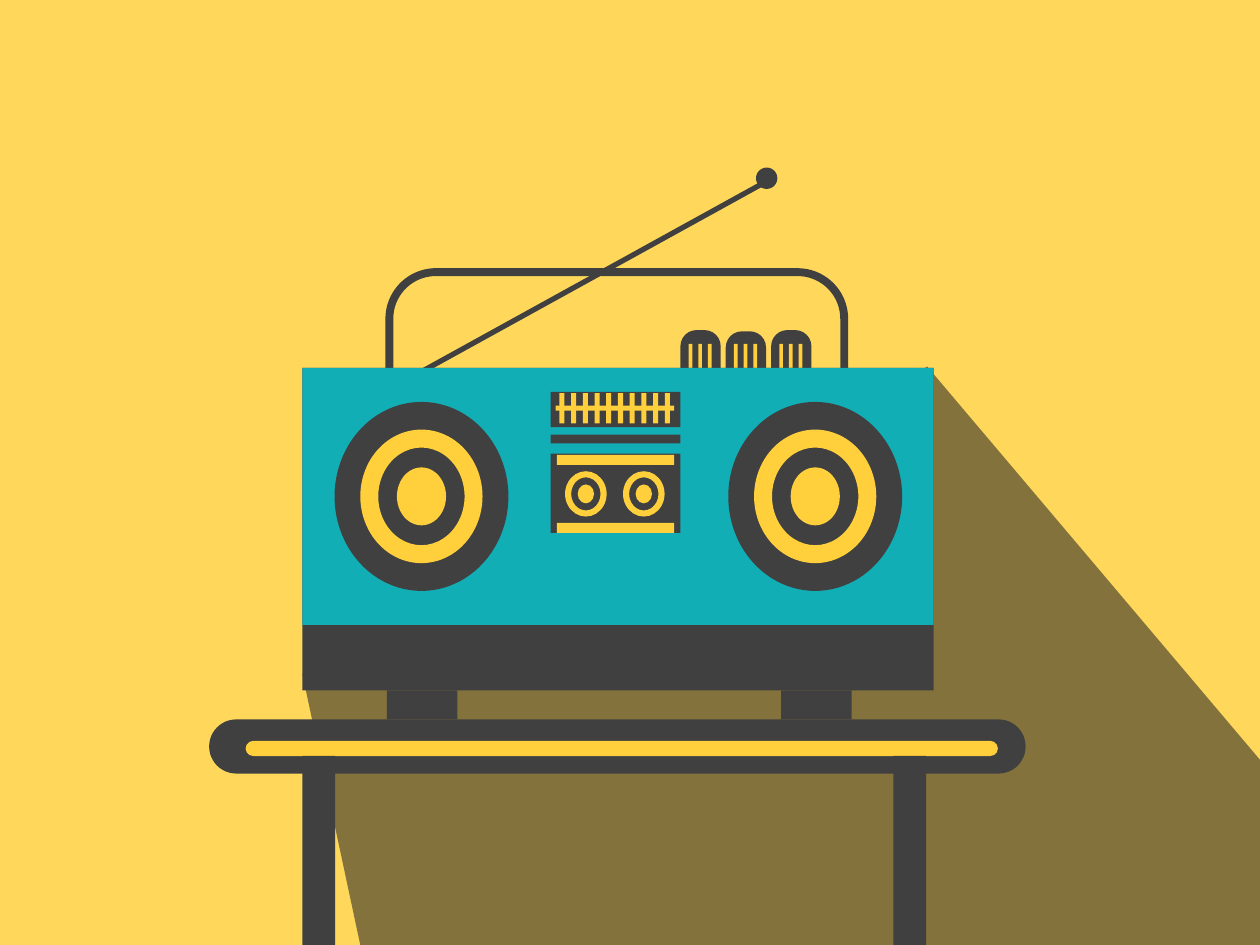
from pptx import Presentation
from pptx.dml.color import RGBColor
from pptx.enum.shapes import MSO_CONNECTOR as Link, MSO_SHAPE as Kind
from pptx.oxml.ns import qn
from pptx.util import Inches, Pt
from lxml.etree import SubElement as Sub

COLS, ROWS = 100, 75
DARK, GOLD, TEAL = "404040", "FFD03B", "12AEB6"
SAND, SHADE = "FFD85B", "262626"


def tint(code):
    return RGBColor.from_string(code)


class Scene:
    """Draws flat shapes on one slide, measured in grid columns and rows."""

    def __init__(self, deck, back):
        self.slide = deck.slides.add_slide(deck.slide_layouts[6])
        self.col = deck.slide_width / COLS
        self.row = deck.slide_height / ROWS
        self.root = self.pen = self.slide.shapes
        fill = self.slide.background.fill
        fill.solid()
        fill.fore_color.rgb = tint(back)

    def spot(self, x, y):
        return round(x * self.col), round(y * self.row)

    def group(self):
        self.pen = self.root.add_group_shape().shapes

    def leave(self):
        self.pen = self.root

    def paint(self, shape, color):
        shape.shadow.inherit = False
        shape.fill.solid()
        shape.fill.fore_color.rgb = tint(color)
        shape.line.fill.background()

    def shape(self, kind, x, y, w, h, color, *turns):
        item = self.pen.add_shape(kind, *self.spot(x, y), *self.spot(w, h))
        for i, turn in enumerate(turns):
            item.adjustments[i] = turn
        self.paint(item, color)
        return item

    def box(self, x, y, w, h, color=DARK):
        return self.shape(Kind.RECTANGLE, x, y, w, h, color)

    def disc(self, x, y, w, h, color, kind=Kind.OVAL, *turns):
        """Place a round shape by its centre."""
        return self.shape(kind, x - w / 2, y - h / 2, w, h, color, *turns)

    def rings(self, x, y, rim, band, core):
        self.disc(x, y, *rim, DARK)
        self.disc(x, y, *band, GOLD, Kind.DONUT, 0.147)
        self.disc(x, y, *core, GOLD)

    def frame(self, x, y, w, h, turn, width):
        item = self.shape(Kind.ROUNDED_RECTANGLE, x, y, w, h, DARK, turn)
        item.fill.background()
        item.line.color.rgb = tint(DARK)
        item.line.width = Pt(width)

    def rod(self, start, end, width):
        item = self.pen.add_connector(
            Link.STRAIGHT, *self.spot(*start), *self.spot(*end))
        item.line.color.rgb = tint(DARK)
        item.line.width = Pt(width)
        Sub(item._element.spPr, qn("a:effectLst"))

    def shade(self, points, color, share):
        first, *rest = [self.spot(*p) for p in points]
        path = self.pen.build_freeform(*first)
        path.add_line_segments(rest, close=True)
        item = path.convert_to_shape()
        self.paint(item, color)
        tone = item._element.spPr.find(qn("a:solidFill"))[0]
        Sub(tone, qn("a:alpha"), val=str(share * 1000))


def keys(art):
    for x, y in ((54, 26.2), (57.6, 26.3), (61.2, 26.2)):
        art.group()
        art.shape(Kind.ROUND_2_SAME_RECTANGLE, x, y, 3.2, 3.6, DARK, 0.4, 0)
        for i in range(3):
            art.box(x + 0.65 + 0.77 * i, 27.3, 0.3, 2, GOLD)
    art.leave()


def deck_bay(art):
    art.group()
    # Panels
    for y, h in ((31.1, 2.8), (36, 6.3), (34.5, 0.7)):
        art.box(43.7, y, 10.3, h)
    # Tape reels
    for x in (46.5, 51.1):
        art.rings(x, 39.2, (4.6, 5), (3.3, 3.6), (1.3, 1.5))
    for y in (41.5, 36.1):
        art.box(44.2, y, 9.3, 0.8, GOLD)
    # Tuning scale
    art.box(44.1, 32.2, 9.4, 0.4, GOLD)
    for i in range(10):
        art.box(44.4 + 0.93 * i, 31.2, 0.4, 2.4, GOLD)
    art.leave()


def main():
    deck = Presentation()
    deck.slide_width, deck.slide_height = Inches(10), Inches(7.5)
    art = Scene(deck, SAND)

    # Long shadow
    art.shade([(73.6, 29.1), (100, 60.3), (100, 75), (28.6, 75), (24, 53.5)],
              SHADE, 57)

    # Keys, aerial and handle
    keys(art)
    art.rod((32, 30.3), (61.2, 14.2), 3)
    art.frame(30.9, 21.6, 36.1, 16.5, 0.224, 4.5)

    # Body
    art.box(24, 29.2, 50.1, 25.6)
    art.box(24, 29.2, 50.1, 20.4, TEAL)

    # Speakers
    for x in (33.45, 64.7):
        art.group()
        art.rings(x, 39.4, (13.8, 15), (9.7, 10.6), (3.9, 4.6))
    art.leave()

    deck_bay(art)

    # Aerial tip and feet
    art.disc(60.85, 14.15, 1.7, 1.7, DARK)
    for x in (30.7, 62):
        art.box(x, 54.8, 5.6, 2.3)

    # Table
    pill = Kind.ROUNDED_RECTANGLE
    art.shape(pill, 16.6, 57.1, 64.8, 4.3, DARK, 0.5)
    art.shape(pill, 19.5, 58.8, 59.7, 1.2, GOLD, 0.5)
    for x in (24, 70.9):
        art.box(x, 60, 2.6, 15)

    deck.save("out.pptx")


if __name__ == "__main__":
    main()
